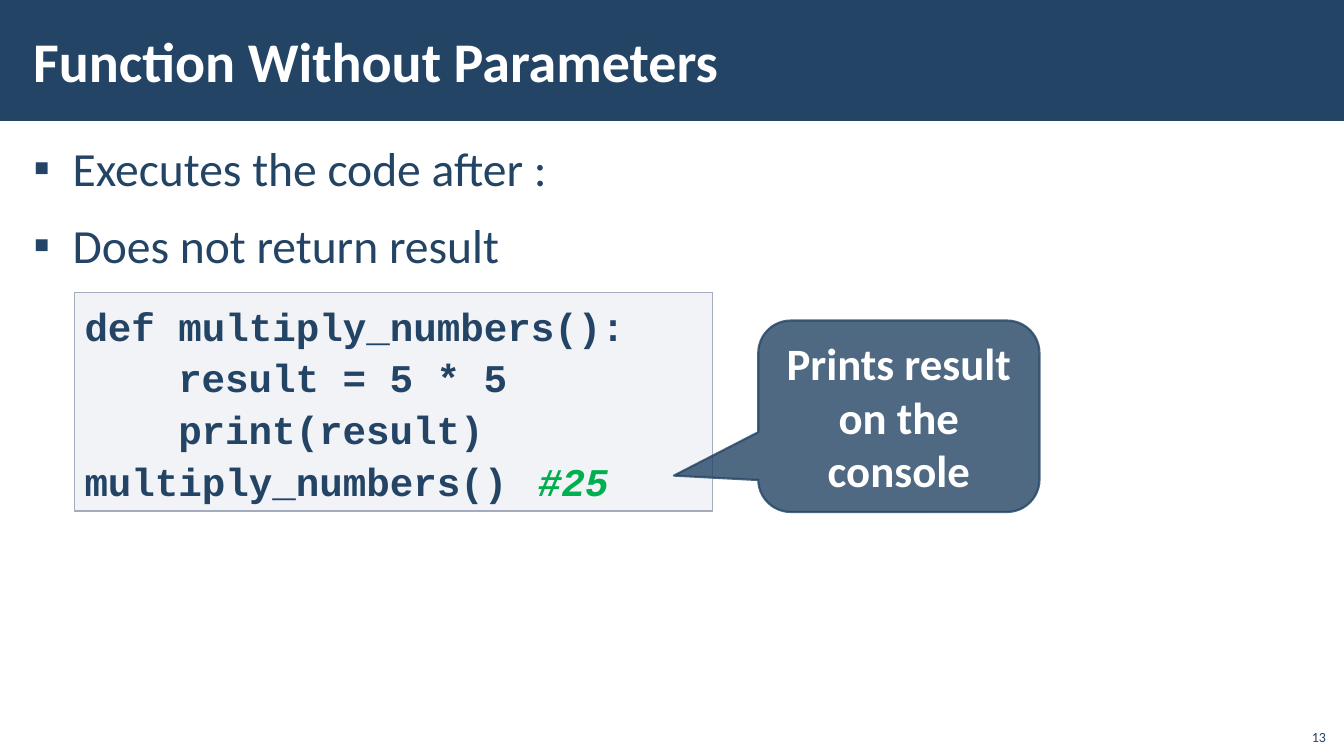
"""Builds a slide explaining a Python function without parameters."""
from dataclasses import dataclass

from lxml import etree
from pptx import Presentation
from pptx.dml.color import RGBColor
from pptx.enum.shapes import MSO_SHAPE
from pptx.enum.text import MSO_ANCHOR, PP_ALIGN
from pptx.oxml.ns import qn
from pptx.util import Pt

RECTANGLE = MSO_SHAPE.RECTANGLE
CALLOUT = MSO_SHAPE.ROUNDED_RECTANGULAR_CALLOUT
TOP, MIDDLE, BOTTOM = MSO_ANCHOR.TOP, MSO_ANCHOR.MIDDLE, MSO_ANCHOR.BOTTOM
LEFT, CENTER, RIGHT = PP_ALIGN.LEFT, PP_ALIGN.CENTER, PP_ALIGN.RIGHT
EMU_PER_PX = 9144


@dataclass(frozen=True)
class Theme:
    navy: str = "234465"
    white: str = "FFFFFF"
    green: str = "00B050"
    code_fill: str = "C2C7D2"
    code_line: str = "A3ABBC"
    body_font: str = "Calibri"
    code_font: str = "Courier New"
    title_size: int = 40
    body_size: int = 34
    callout_size: int = 32
    code_size: int = 28
    number_size: int = 10


def px(length):
    return round(length * EMU_PER_PX)


def set_alpha(color_format, percent):
    color = color_format._xFill.find(qn("a:srgbClr"))
    etree.SubElement(color, qn("a:alpha"), val=str(percent * 1000))


def write_text(shape, lines, *, size, color, font, bold=False, align=LEFT,
               anchor=TOP, insets=(10, 5), spacing=None, gap=0, bullet=None,
               hang=0, indents=(), tab=None, accents=()):
    frame = shape.text_frame
    frame.word_wrap = True
    frame.vertical_anchor = anchor
    frame.margin_left = frame.margin_right = px(insets[0])
    frame.margin_top = frame.margin_bottom = px(insets[1])
    for index, line in enumerate(lines):
        paragraph = frame.paragraphs[0] if index == 0 else frame.add_paragraph()
        paragraph.alignment = align
        paragraph.line_spacing = spacing
        paragraph.space_before = paragraph.space_after = Pt(gap)
        properties = paragraph._p.get_or_add_pPr()
        indent = indents[index] if indents else hang
        properties.set("marL", str(px(indent)))
        properties.set("indent", str(-px(hang)))
        if bullet:
            etree.SubElement(properties, qn("a:buFont"), typeface="Arial")
            etree.SubElement(properties, qn("a:buChar"), char=bullet)
        if tab:
            stops = etree.SubElement(properties, qn("a:tabLst"))
            etree.SubElement(stops, qn("a:tab"), pos=str(px(tab)), algn="l")
        for part in line:
            run = paragraph.add_run()
            run.text = part
            run.font.name = font
            run.font.size = Pt(size)
            run.font.bold = bold
            run.font.italic = part in accents
            shade = accents[part] if part in accents else color
            run.font.color.rgb = RGBColor.from_string(shade)


class SlideBuilder:
    def __init__(self, slide, theme):
        self.slide = slide
        self.theme = theme

    def text(self, box, lines, **style):
        area = self.slide.shapes.add_textbox(*map(px, box))
        style = {"color": self.theme.navy, "font": self.theme.body_font} | style
        write_text(area, lines, **style)

    def panel(self, kind, box, fill, *, alpha=100, line=None, line_width=1,
              line_alpha=100, adjustments=()):
        panel = self.slide.shapes.add_shape(kind, *map(px, box))
        panel.shadow.inherit = False
        for index, value in enumerate(adjustments):
            panel.adjustments[index] = value
        paints = [(panel.fill, fill, alpha)]
        if line:
            panel.line.width = Pt(line_width)
            paints.append((panel.line.fill, line, line_alpha))
        else:
            panel.line.fill.background()
        for paint, color, percent in paints:
            paint.solid()
            paint.fore_color.rgb = RGBColor.from_string(color)
            if percent < 100:
                set_alpha(paint.fore_color, percent)
        return panel

    def code(self, box, lines, **style):
        theme = self.theme
        panel = self.panel(RECTANGLE, box, theme.code_fill, alpha=20,
                           line=theme.code_line)
        write_text(panel, lines, size=theme.code_size, color=theme.navy,
                   font=theme.code_font, bold=True, spacing=1.1, **style)

    def callout(self, box, message, pointer):
        theme = self.theme
        bubble = self.panel(CALLOUT, box, theme.navy, alpha=80, line=theme.navy,
                            line_width=1.5, line_alpha=80, adjustments=pointer)
        write_text(bubble, [[message]], size=theme.callout_size, font=theme.body_font,
                   color=theme.white, bold=True, align=CENTER, anchor=MIDDLE)


def main():
    theme = Theme()
    deck = Presentation()
    deck.slide_width, deck.slide_height = px(1333), px(750)
    builder = SlideBuilder(deck.slides.add_slide(deck.slide_layouts[6]), theme)

    builder.panel(RECTANGLE, (0, 0, 1333, 120), theme.navy)
    builder.text((1285, 712, 40, 32), [["13"]], size=theme.number_size,
                 align=RIGHT, anchor=BOTTOM)
    builder.text((21, 131, 1292, 605),
                 [["Executes the code after :"], ["Does not return result"]],
                 size=theme.body_size, insets=(12, 4), spacing=1.05, gap=6,
                 bullet="▪", hang=39)
    builder.text((21, 11, 1063, 97), [["Function Without Parameters"]],
                 size=theme.title_size, color=theme.white, bold=True,
                 anchor=MIDDLE, insets=(12, 4))

    code_indent = 93
    builder.code((74, 290, 633, 217),
                 [["def multiply_numbers():"], ["result = 5 * 5"],
                  ["print(result)"], ["multiply_numbers()\t", "#25"]],
                 indents=(0, code_indent, code_indent, 0), tab=5 * code_indent,
                 accents={"#25": theme.green})
    builder.callout((752, 318, 279, 190), "Prints result on the console",
                    (-0.8, 0.31, 0.17))
    deck.save("out.pptx")


if __name__ == "__main__":
    main()
